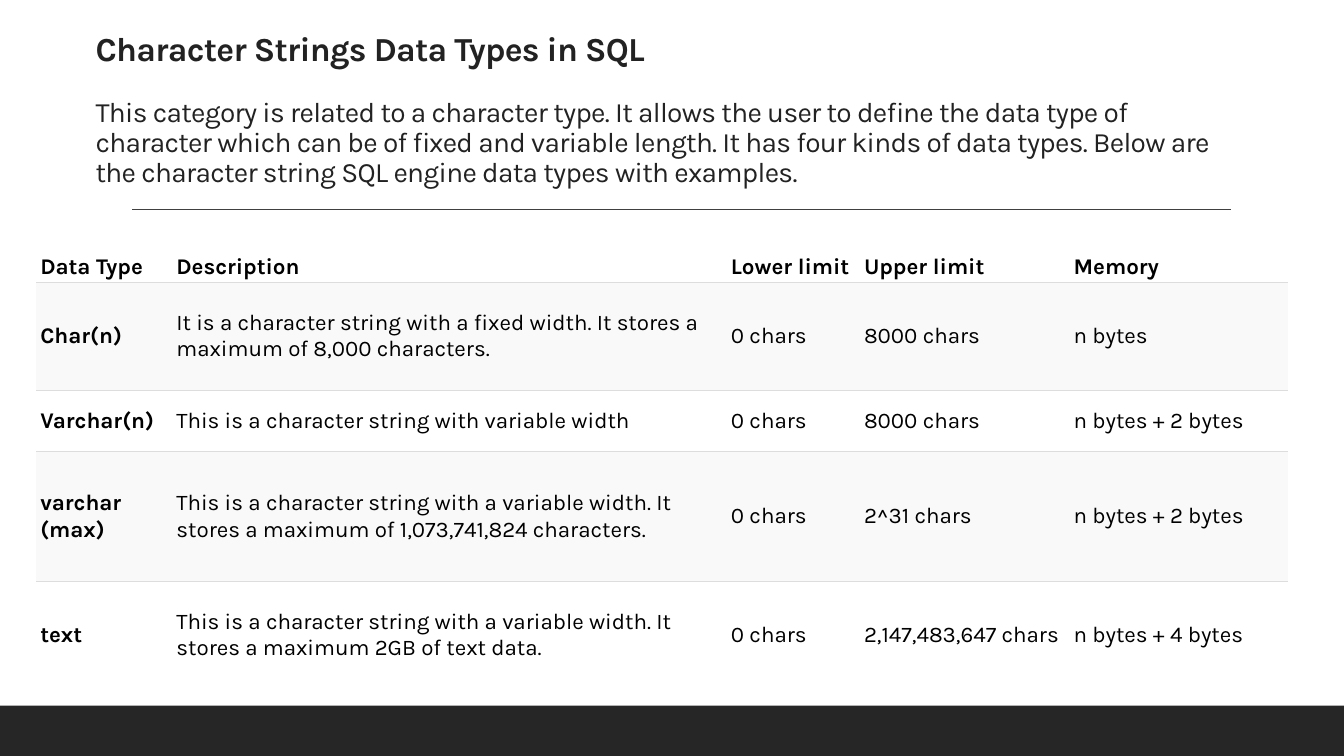
from lxml.etree import SubElement
from pptx import Presentation
from pptx.dml.color import RGBColor
from pptx.enum.shapes import MSO_CONNECTOR, MSO_SHAPE
from pptx.enum.text import MSO_ANCHOR
from pptx.oxml.ns import qn
from pptx.util import Inches, Pt

FONT = "Karla"
BLACK = RGBColor(0x00, 0x00, 0x00)
WHITE = RGBColor(0xFF, 0xFF, 0xFF)
BAND = RGBColor(0xF9, 0xF9, 0xF9)
RULE = RGBColor(0xDD, 0xDD, 0xDD)
INK = RGBColor(0x22, 0x22, 0x22)
FOOTER = RGBColor(0x26, 0x26, 0x26)
DIVIDER = RGBColor(0x40, 0x40, 0x40)


def style(paragraph, size, color, bold):
    paragraph.font.name = FONT
    paragraph.font.size = Pt(size)
    paragraph.font.color.rgb = color
    paragraph.font.bold = bold


def add_border(cell, side, visible):
    line = SubElement(cell._tc.get_or_add_tcPr(), qn(f"a:{side}"), w=str(Pt(0.6)))
    if visible:
        fill = SubElement(line, qn("a:solidFill"))
        SubElement(fill, qn("a:srgbClr"), val=str(RULE))
    else:
        SubElement(line, qn("a:noFill"))


deck = Presentation()
deck.slide_width = Inches(13.33)
deck.slide_height = Inches(7.5)
page = deck.slides.add_slide(deck.slide_layouts[6])

footer = page.shapes.add_shape(
    MSO_SHAPE.RECTANGLE, 0, Inches(7), deck.slide_width, Inches(0.5))
footer.shadow.inherit = False
footer.fill.solid()
footer.fill.fore_color.rgb = FOOTER
footer.line.fill.background()

divider = page.shapes.add_connector(
    MSO_CONNECTOR.STRAIGHT, Inches(1.31), Inches(2.08), Inches(12.21), Inches(2.08))
divider.line.color.rgb = DIVIDER
divider.line.width = Pt(1)
SubElement(divider._element.spPr, qn("a:effectLst"))

title = page.shapes.add_textbox(Inches(0.85), Inches(0.31), Inches(11.35), Inches(1.61))
title.text_frame.word_wrap = True
title.text_frame.vertical_anchor = MSO_ANCHOR.BOTTOM
title.text_frame.text = (
    "Character Strings Data Types in SQL\n"
    "This category is related to a character type. It allows the user to define "
    "the data type of character which can be of fixed and variable length. It has "
    "four kinds of data types. Below are the character string SQL engine data types "
    "with examples."
)
heading, intro = title.text_frame.paragraphs
style(heading, 24, INK, True)
style(intro, 20, INK, False)
intro.space_before = Pt(21)
for paragraph in (heading, intro):
    paragraph.line_spacing = 0.9
    for span in paragraph.runs:
        span._r.get_or_add_rPr().set("spc", "-50")

ROWS = [
    ("Data Type", "Description", "Lower limit", "Upper limit", "Memory"),
    ("Char(n)",
     "It is a character string with a fixed width. It stores a maximum of 8,000 characters.",
     "0 chars", "8000 chars", "n bytes"),
    ("Varchar(n)", "This is a character string with variable width",
     "0 chars", "8000 chars", "n bytes + 2 bytes"),
    ("varchar (max)",
     "This is a character string with a variable width. It stores a maximum of "
     "1,073,741,824 characters.",
     "0 chars", "2^31 chars", "n bytes + 2 bytes"),
    ("text",
     "This is a character string with a variable width. It stores a maximum 2GB of text data.",
     "0 chars", "2,147,483,647 chars", "n bytes + 4 bytes"),
]
COLUMN_WIDTHS = [1.35, 5.5, 1.32, 2.08, 2.17]
ROW_HEIGHTS = [0.31, 1.07, 0.61, 1.29, 1.07]

table = page.shapes.add_table(
    len(ROWS), len(COLUMN_WIDTHS), Inches(0.36), Inches(2.49),
    Inches(sum(COLUMN_WIDTHS)), Inches(sum(ROW_HEIGHTS))).table
table.first_row = False
table.horz_banding = False
for column, width in zip(table.columns, COLUMN_WIDTHS):
    column.width = Inches(width)
for row, height in zip(table.rows, ROW_HEIGHTS):
    row.height = Inches(height)

for row_index, values in enumerate(ROWS):
    for column_index, value in enumerate(values):
        cell = table.cell(row_index, column_index)
        cell.text = value
        style(cell.text_frame.paragraphs[0], 16, BLACK,
              row_index == 0 or column_index == 0)
        cell.vertical_anchor = MSO_ANCHOR.MIDDLE
        cell.margin_left = cell.margin_right = Inches(0.04)
        cell.margin_top = cell.margin_bottom = Inches(0.02)
        add_border(cell, "lnL", False)
        add_border(cell, "lnR", False)
        add_border(cell, "lnT", row_index > 0)
        add_border(cell, "lnB", row_index < len(ROWS) - 1)
        cell.fill.solid()
        cell.fill.fore_color.rgb = BAND if row_index % 2 else WHITE

deck.save("out.pptx")
